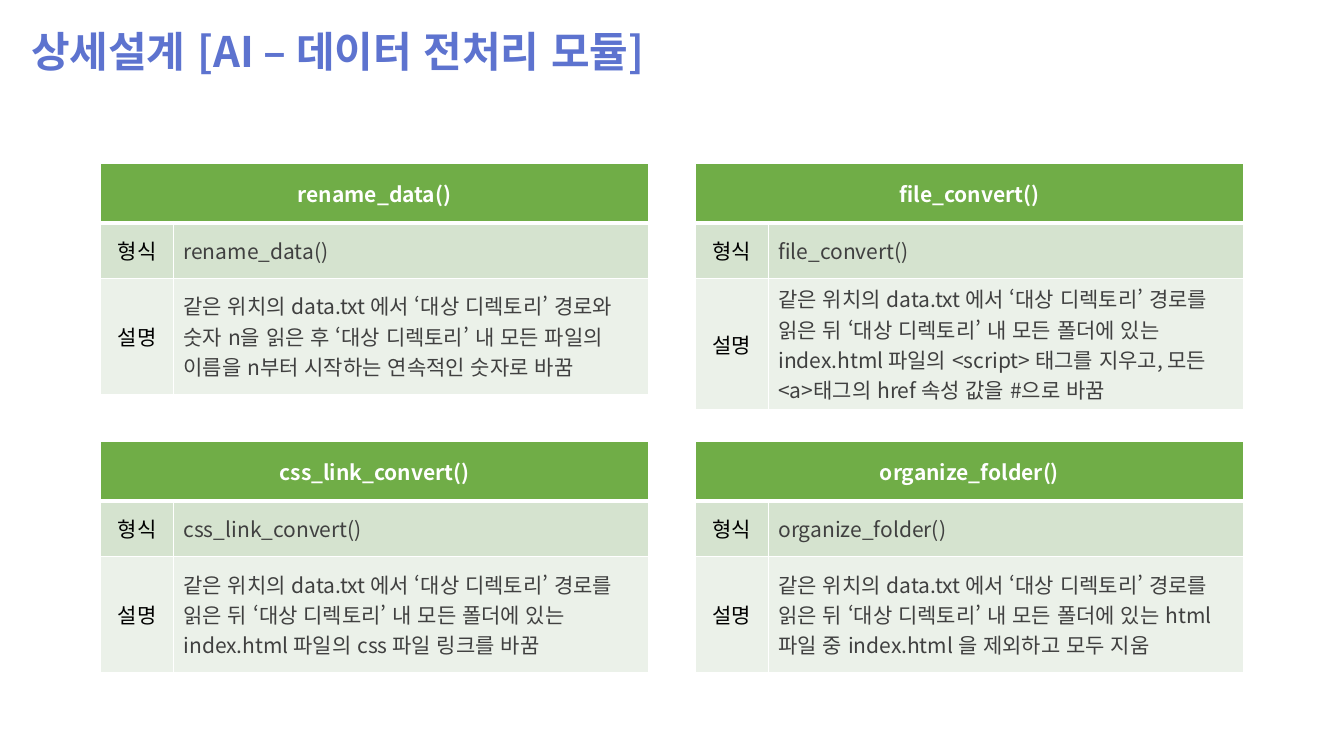
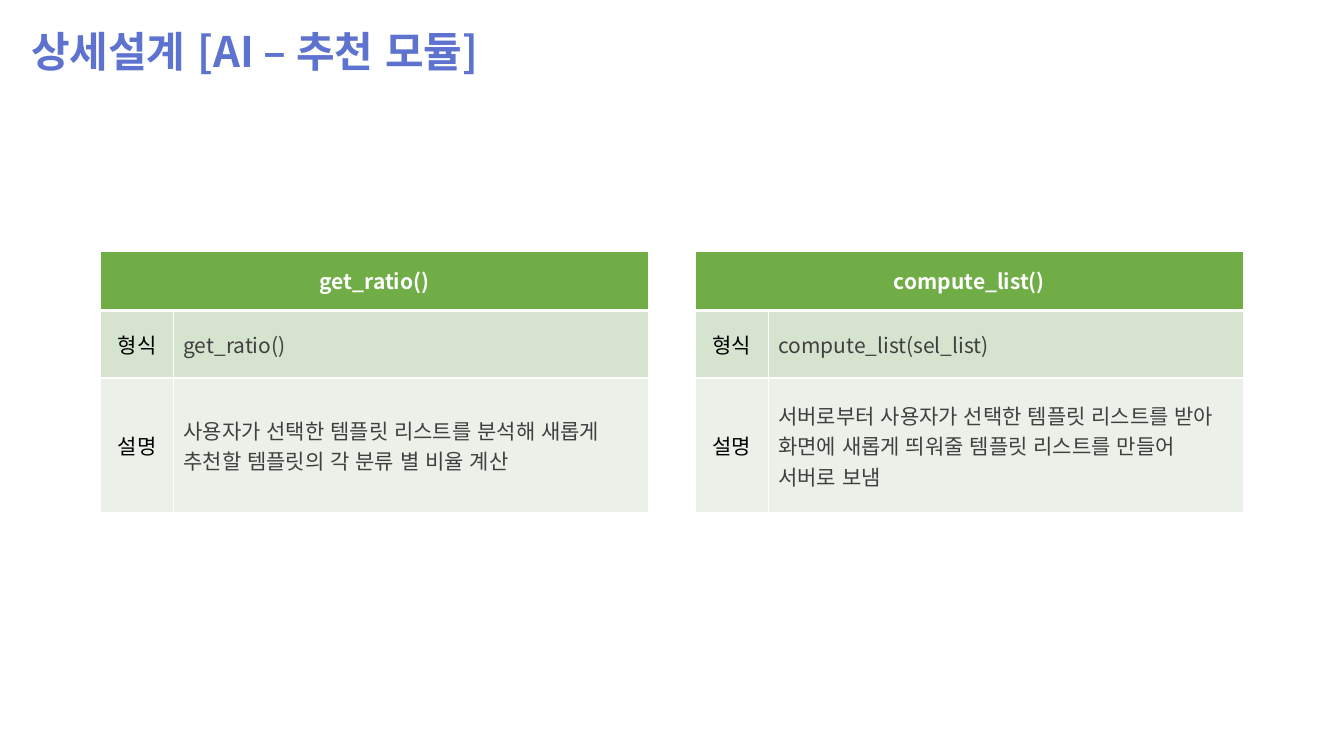
"""Build two detailed-design slides that describe module functions in tables."""
from lxml.etree import SubElement
from pptx import Presentation
from pptx.dml.color import RGBColor
from pptx.enum.lang import MSO_LANGUAGE_ID as Language
from pptx.enum.text import MSO_ANCHOR as Anchor, PP_ALIGN as Align
from pptx.oxml.ns import qn
from pptx.util import Inches, Pt

FONT = "Noto Sans CJK KR"
TITLE_BLUE = RGBColor(0x5D, 0x73, 0xCF)
HEADER_GREEN = RGBColor(0x70, 0xAD, 0x47)
FORMAT_GREEN = RGBColor(0xD5, 0xE3, 0xCF)
DETAIL_GREEN = RGBColor(0xEB, 0xF1, 0xE9)
BODY_GRAY = RGBColor(0x40, 0x40, 0x40)
BLACK = RGBColor(0, 0, 0)
WHITE = RGBColor(0xFF, 0xFF, 0xFF)

SLIDE_SIZE = (13.33, 7.5)
GRID_LEFT = 1
COLUMN_STEP, ROW_STEP = 5.9, 2.76
GRID_COLUMNS = 2
TABLE_COLUMNS = (0.72, 4.71)
THIN, THICK = 1, 3

SLIDES = [
    {
        "title": "상세설계 [AI – 데이터 전처리 모듈]",
        "top": 1.62,
        "rows": (0.59, 0.55, 1.15),
        "functions": [
            ("rename_data()", "rename_data()",
             "같은 위치의 data.txt 에서 ‘대상 디렉토리’ 경로와 숫자 n을 읽은 후 "
             "‘대상 디렉토리’ 내 모든 파일의 이름을 n부터 시작하는 연속적인 숫자로 바꿈"),
            ("file_convert()", "file_convert()",
             "같은 위치의 data.txt 에서 ‘대상 디렉토리’ 경로를 읽은 뒤 "
             "‘대상 디렉토리’ 내 모든 폴더에 있는 index.html 파일의 <script> 태그를 지우고, "
             "모든<a>태그의 href 속성 값을 #으로 바꿈"),
            ("css_link_convert()", "css_link_convert()",
             "같은 위치의 data.txt 에서 ‘대상 디렉토리’ 경로를 읽은 뒤 "
             "‘대상 디렉토리’ 내 모든 폴더에 있는 index.html 파일의 css 파일 링크를 바꿈"),
            ("organize_folder()", "organize_folder()",
             "같은 위치의 data.txt 에서 ‘대상 디렉토리’ 경로를 읽은 뒤 "
             "‘대상 디렉토리’ 내 모든 폴더에 있는 html 파일 중 index.html 을 제외하고 모두 지움"),
        ],
    },
    {
        "title": "상세설계 [AI – 추천 모듈]",
        "top": 2.49,
        "rows": (0.59, 0.67, 1.34),
        "functions": [
            ("get_ratio()", "get_ratio()",
             "사용자가 선택한 템플릿 리스트를 분석해 새롭게 추천할 템플릿의 각 분류 별 비율 계산"),
            ("compute_list()", "compute_list(sel_list)",
             "서버로부터 사용자가 선택한 템플릿 리스트를 받아 화면에 새롭게 띄워줄 "
             "템플릿 리스트를 만들어 서버로 보냄"),
        ],
    },
]


def write_text(text_frame, text, size=15, color=BODY_GRAY, bold=False, align=Align.LEFT):
    paragraph = text_frame.paragraphs[0]
    paragraph.alignment = align
    run = paragraph.add_run()
    run.text = text
    font = run.font
    font.name = FONT
    font.size = Pt(size)
    font.bold = bold
    font.color.rgb = color
    font.language_id = Language.KOREAN
    SubElement(run._r.get_or_add_rPr(), qn("a:ea"), typeface=FONT)


def set_borders(cell, top=THIN, bottom=THIN):
    properties = cell._tc.get_or_add_tcPr()
    for side, width in (("L", THIN), ("R", THIN), ("T", top), ("B", bottom)):
        line = SubElement(properties, qn(f"a:ln{side}"), w=str(Pt(width)))
        SubElement(SubElement(line, qn("a:solidFill")), qn("a:srgbClr"), val=str(WHITE))


def style_cell(cell, fill, **borders):
    set_borders(cell, **borders)
    cell.fill.solid()
    cell.fill.fore_color.rgb = fill
    cell.vertical_anchor = Anchor.MIDDLE


def add_title(slide, text):
    box = slide.shapes.add_textbox(Inches(0.21), Inches(0.2), Inches(7.17), Inches(0.61))
    text_frame = box.text_frame
    text_frame.word_wrap = True
    text_frame.margin_top = text_frame.margin_bottom = 0
    text_frame.vertical_anchor = Anchor.MIDDLE
    write_text(text_frame, text, size=30, color=TITLE_BLUE, bold=True)


def add_function_table(slide, left, top, row_heights, function):
    name, signature, description = function
    frame = slide.shapes.add_table(
        len(row_heights), len(TABLE_COLUMNS), Inches(left), Inches(top),
        Inches(sum(TABLE_COLUMNS)), Inches(sum(row_heights)))
    table = frame.table
    table.first_row = table.horz_banding = False
    for column, width in zip(table.columns, TABLE_COLUMNS):
        column.width = Inches(width)
    for row, height in zip(table.rows, row_heights):
        row.height = Inches(height)

    for cell in table.rows[0].cells:
        style_cell(cell, HEADER_GREEN, bottom=THICK)
    header = table.cell(0, 0)
    header.merge(table.cell(0, 1))
    write_text(header.text_frame, name, color=WHITE, bold=True, align=Align.CENTER)

    details = (("형식", signature, FORMAT_GREEN, THICK),
               ("설명", description, DETAIL_GREEN, THIN))
    for index, (label, text, fill, top_border) in enumerate(details, start=1):
        label_cell, text_cell = table.rows[index].cells
        for cell in (label_cell, text_cell):
            style_cell(cell, fill, top=top_border)
        write_text(label_cell.text_frame, label, color=BLACK, align=Align.CENTER)
        write_text(text_cell.text_frame, text)


def add_module_slide(presentation, content):
    slide = presentation.slides.add_slide(presentation.slide_layouts[6])
    for index, function in enumerate(content["functions"]):
        row, column = divmod(index, GRID_COLUMNS)
        add_function_table(slide, GRID_LEFT + column * COLUMN_STEP,
                           content["top"] + row * ROW_STEP, content["rows"], function)
    add_title(slide, content["title"])


def main():
    presentation = Presentation()
    presentation.slide_width, presentation.slide_height = map(Inches, SLIDE_SIZE)
    for content in SLIDES:
        add_module_slide(presentation, content)
    presentation.save("out.pptx")


if __name__ == "__main__":
    main()
